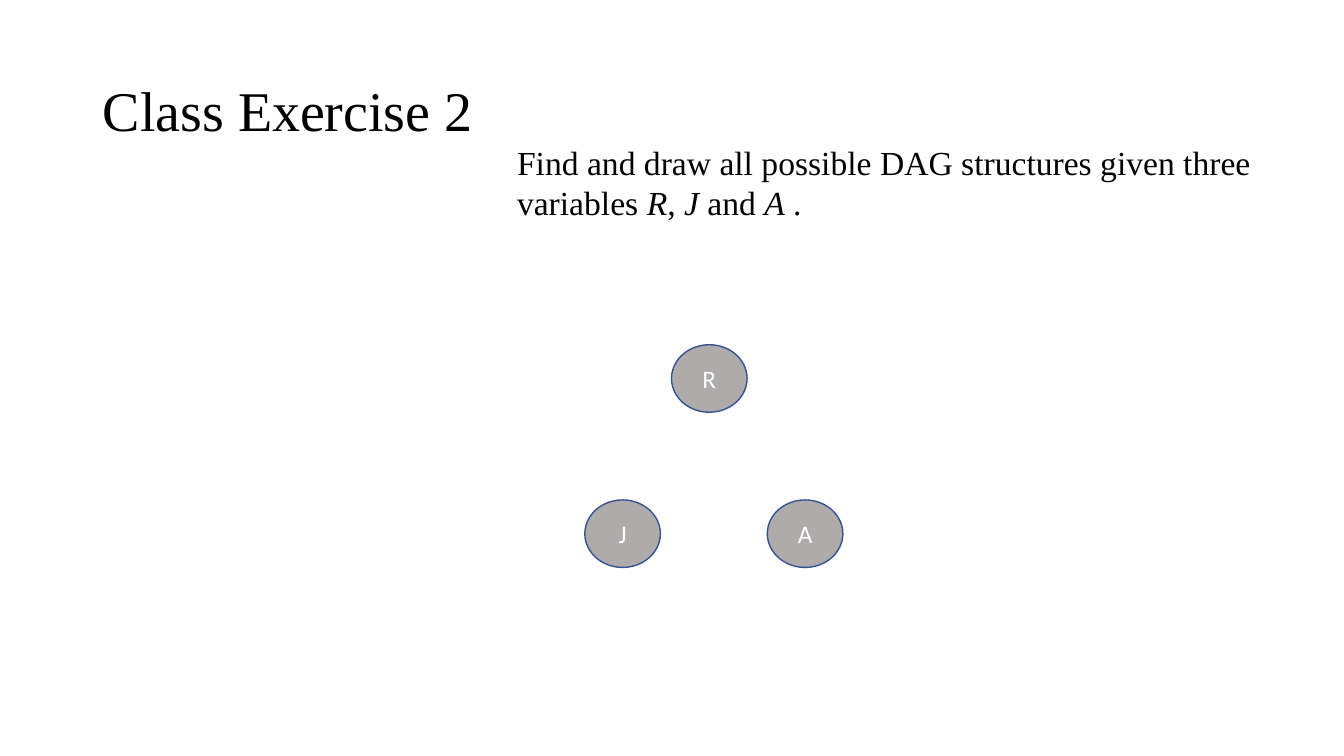
import pptx
import pptx.util
import pptx.dml.color
import pptx.enum.shapes
import pptx.enum.text

Inches, Pt = pptx.util.Inches, pptx.util.Pt
Align, Anchor = pptx.enum.text.PP_ALIGN, pptx.enum.text.MSO_ANCHOR
COLORS = {"text": "000000", "node": "AFABAB", "edge": "325491", "label": "FFFFFF"}


def color(name):
    return pptx.dml.color.RGBColor.from_string(COLORS[name])


def style(para, face, size, name):
    para.font.name = face
    para.font.size = Pt(size)
    para.font.color.rgb = color(name)


deck = pptx.Presentation()
deck.slide_width, deck.slide_height = Inches(13.33), Inches(7.5)
slide = deck.slides.add_slide(deck.slide_layouts[5])

# Title
title = slide.shapes.title
title.left, title.top = Inches(0.92), Inches(0.4)
title.width, title.height = Inches(11.5), Inches(1.45)
title.text_frame.text = "Class Exercise 2"
title.text_frame.vertical_anchor = Anchor.MIDDLE
para = title.text_frame.paragraphs[0]
para.alignment = Align.LEFT
para.line_spacing = 0.9
style(para, "Times New Roman", 40, "text")

# Task, with the variable names in italics
task = slide.shapes.add_textbox(Inches(5.03), Inches(1.36), Inches(7.77), Inches(0.91))
task.text_frame.word_wrap = True
para = task.text_frame.paragraphs[0]
parts = ["Find and draw all possible DAG structures given three variables ",
         "R", ", ", "J", " and ", "A", " ."]
for i, part in enumerate(parts):
    run = para.add_run()
    run.text = part
    if i % 2:
        run.font.italic = True
style(para, "Times New Roman", 24, "text")

# Variable nodes
group = slide.shapes.add_group_shape()
for name, left, top in [("R", 6.66, 3.42), ("J", 5.8, 4.96), ("A", 7.61, 4.96)]:
    node = group.shapes.add_shape(pptx.enum.shapes.MSO_SHAPE.OVAL, Inches(left),
                                  Inches(top), Inches(0.75), Inches(0.67))
    node.shadow.inherit = False
    node.fill.solid()
    node.fill.fore_color.rgb = color("node")
    node.line.color.rgb = color("edge")
    node.line.width = Pt(1)
    node.text_frame.text = name
    node.text_frame.vertical_anchor = Anchor.MIDDLE
    para = node.text_frame.paragraphs[0]
    para.alignment = Align.CENTER
    style(para, "Calibri", 18, "label")

deck.save("out.pptx")
